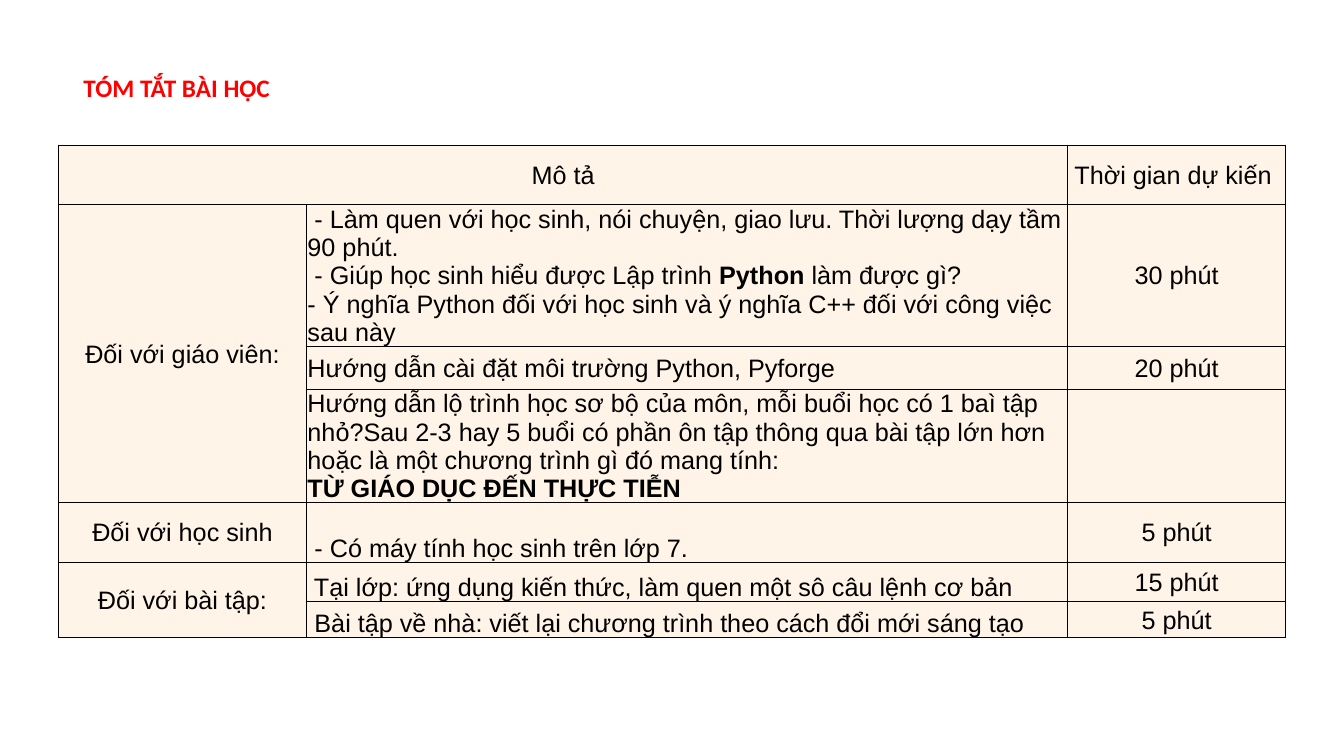
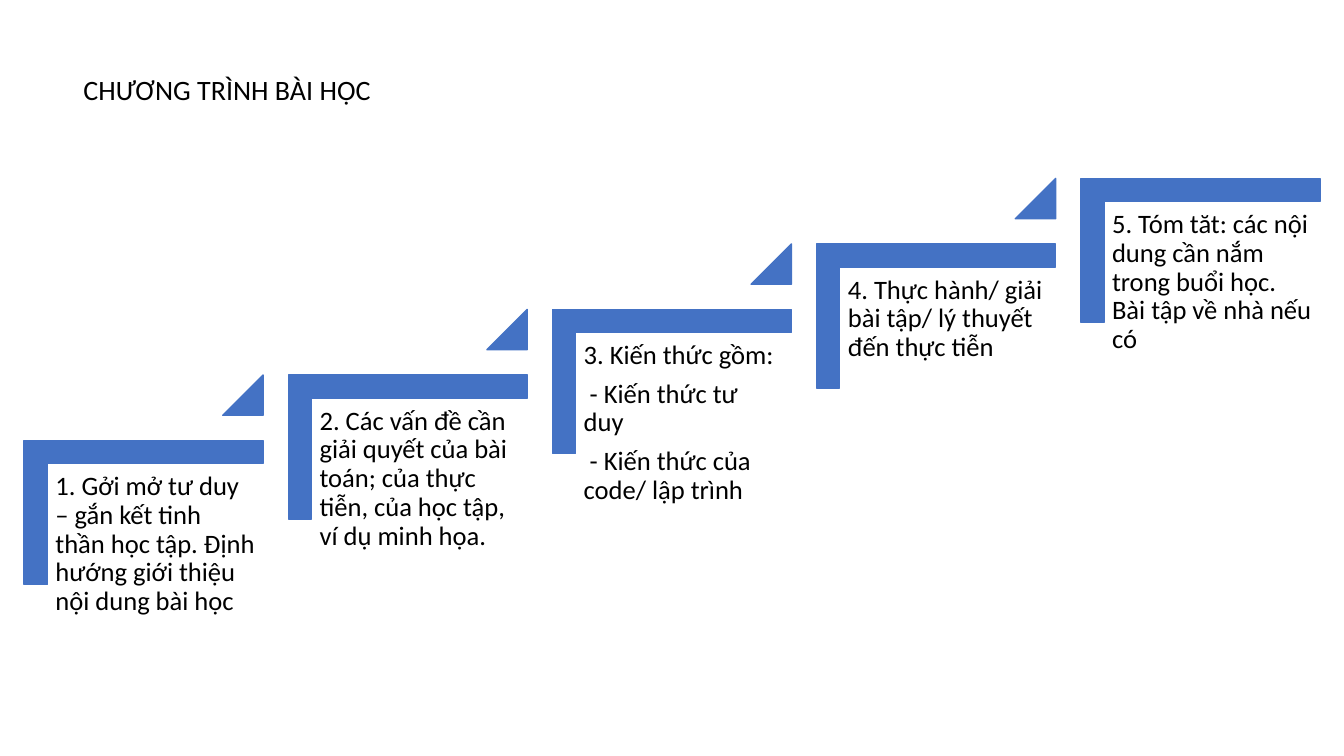
from dataclasses import dataclass
from typing import Any

from lxml.etree import SubElement
from pptx import Presentation
from pptx.dml.color import RGBColor as Color
from pptx.enum.shapes import MSO_SHAPE as ShapeKind
from pptx.enum.text import MSO_ANCHOR as Anchor, MSO_AUTO_SIZE as AutoSize, PP_ALIGN as Align
from pptx.oxml.ns import qn
from pptx.util import Emu, Pt

EMU_PER_PX = 9144  # 100 px to the inch


@dataclass(frozen=True)
class Theme:
    black: str = "000000"
    red: str = "FF0000"
    blue: str = "4472C4"
    cream: str = "FFF4E7"
    heading_font: str = "Calibri"
    table_font: str = "Arial"
    table_size: int = 18
    step_size: int = 19


THEME = Theme()


@dataclass(frozen=True)
class Cell:
    row: int
    column: int
    text: str
    anchor: Any = Anchor.MIDDLE
    row_span: int = 1
    column_span: int = 1


# Lesson table: text between asterisks is bold
TABLE_LEFT, TABLE_TOP = 58, 144
COLUMN_WIDTHS = (246, 755, 216)
ROW_HEIGHTS = (59, 141, 42, 113, 59, 39, 36)
DETAIL_COLUMN = 1
CELLS = (
    Cell(0, 0, "Mô tả", column_span=2),
    Cell(0, 2, "Thời gian dự kiến "),
    Cell(1, 0, "Đối với giáo viên:", row_span=3),
    Cell(1, 1, " - Làm quen với học sinh, nói chuyện, giao lưu. Thời lượng dạy tầm 90 phút.\n"
               " - Giúp học sinh hiểu được Lập trình *Python *làm được gì?\n"
               "- Ý nghĩa Python đối với học sinh và ý nghĩa C++ đối với công việc sau này",
         Anchor.BOTTOM),
    Cell(1, 2, "30 phút"),
    Cell(2, 1, "Hướng dẫn cài đặt môi trường Python, Pyforge"),
    Cell(2, 2, "20 phút"),
    Cell(3, 1, "Hướng dẫn lộ trình học sơ bộ của môn, mỗi buổi học có 1 baì tập nhỏ?"
               "Sau 2-3 hay 5 buổi có phần ôn tập thông qua bài tập lớn hơn "
               "hoặc là một chương trình gì đó mang tính:\n"
               "*TỪ GIÁO DỤC ĐẾN THỰC TIỄN*", Anchor.BOTTOM),
    Cell(4, 0, "Đối với học sinh"),
    Cell(4, 1, " - Có máy tính học sinh trên lớp 7.", Anchor.BOTTOM),
    Cell(4, 2, "5 phút"),
    Cell(5, 0, "Đối với bài tập:", row_span=2),
    Cell(5, 1, " Tại lớp: ứng dụng kiến thức, làm quen một sô câu lệnh cơ bản", Anchor.BOTTOM),
    Cell(5, 2, "15 phút"),
    Cell(6, 1, " Bài tập về nhà: viết lại chương trình theo cách đổi mới sáng tạo", Anchor.BOTTOM),
    Cell(6, 2, "5 phút"),
)

# Staircase: each step moves right and up by the same amount
STEP_RIGHT, STEP_UP = 262, 65
STEPS = (
    "1. Gởi mở tư duy – gắn kết tinh thần học tập. Định hướng giới thiệu nội dung bài học",
    "2. Các vấn đề cần giải quyết của bài toán; của thực tiễn, của học tập, ví dụ minh họa.",
    "3. Kiến thức gồm:\n - Kiến thức tư duy\n - Kiến thức của code/ lập trình",
    "4. Thực hành/ giải bài tập/ lý thuyết đến thực tiễn",
    "5. Tóm tăt: các nội dung cần nắm trong buổi học. Bài tập về nhà nếu có",
)


def px(length: int) -> Emu:
    return Emu(length * EMU_PER_PX)


def write_text(frame: Any, text: str, *, font: str, size: int, color: str = THEME.black,
               bold: bool = False, align: Any = Align.LEFT,
               line_spacing: float = 1.0, space_after: int = 0) -> None:
    """Write one paragraph a line; asterisks switch bold on and off."""
    for index, line in enumerate(text.split("\n")):
        paragraph = frame.add_paragraph() if index else frame.paragraphs[0]
        paragraph.alignment = align
        paragraph.line_spacing = line_spacing
        paragraph.space_after = Pt(space_after)
        for part, content in enumerate(line.split("*")):
            if content:
                run = paragraph.add_run()
                run.text = content
                run.font.name = font
                run.font.size = Pt(size)
                run.font.bold = bold or part % 2 == 1
                run.font.color.rgb = Color.from_string(color)


def add_title(slide: Any, text: str, width: int, height: int, **text_format: Any) -> None:
    frame = slide.shapes.add_textbox(px(73), px(67), px(width), px(height)).text_frame
    frame.word_wrap = False
    frame.auto_size = AutoSize.SHAPE_TO_FIT_TEXT
    write_text(frame, text, font=THEME.heading_font, **text_format)


def style_cell(cell: Any) -> None:
    """Give a cell thin borders, tight margins and the table fill."""
    properties = cell._tc.get_or_add_tcPr()
    for side in ("a:lnL", "a:lnR", "a:lnT", "a:lnB"):
        border = SubElement(properties, qn(side), w=str(Pt(0.75)))
        SubElement(SubElement(border, qn("a:solidFill")), qn("a:srgbClr"), val=THEME.black)
    cell.fill.solid()
    cell.fill.fore_color.rgb = Color.from_string(THEME.cream)
    cell.margin_left = cell.margin_right = cell.margin_top = px(1)
    cell.margin_bottom = 0


def add_lesson_table(slide: Any) -> None:
    table = slide.shapes.add_table(
        len(ROW_HEIGHTS), len(COLUMN_WIDTHS), px(TABLE_LEFT), px(TABLE_TOP),
        px(sum(COLUMN_WIDTHS)), px(sum(ROW_HEIGHTS))).table
    table.first_row = table.horz_banding = False
    for column, width in zip(table.columns, COLUMN_WIDTHS):
        column.width = px(width)
    for row, height in zip(table.rows, ROW_HEIGHTS):
        row.height = px(height)
    for cell in table.iter_cells():
        style_cell(cell)
    for item in CELLS:
        cell = table.cell(item.row, item.column)
        if item.row_span > 1 or item.column_span > 1:
            cell.merge(table.cell(item.row + item.row_span - 1,
                                  item.column + item.column_span - 1))
        cell.vertical_anchor = item.anchor
        write_text(cell.text_frame, item.text, font=THEME.table_font, size=THEME.table_size,
                   align=Align.LEFT if item.column == DETAIL_COLUMN else Align.CENTER)


def add_blue_shape(slide: Any, kind: Any, left: int, top: int, width: int, height: int,
                   adjustments: tuple[float, ...], rotation: int = 0) -> None:
    shape = slide.shapes.add_shape(kind, px(left), px(top), px(width), px(height))
    shape.rotation = rotation
    shape.shadow.inherit = False
    for index, value in enumerate(adjustments):
        shape.adjustments[index] = value
    shape.fill.solid()
    shape.fill.fore_color.rgb = shape.line.color.rgb = Color.from_string(THEME.blue)
    shape.line.width = Pt(1)


def add_step(slide: Any, index: int, text: str) -> None:
    right, up = index * STEP_RIGHT, index * STEP_UP
    add_blue_shape(slide, ShapeKind.CORNER, 71 + right, 390 - up, 143, 237,
                   (0.16, 0.16), rotation=90)
    frame = slide.shapes.add_textbox(px(47 + right), px(461 - up), px(214), px(188)).text_frame
    frame.word_wrap = True
    frame.margin_left = frame.margin_right = frame.margin_top = frame.margin_bottom = px(8)
    write_text(frame, text, font=THEME.heading_font, size=THEME.step_size,
               line_spacing=0.9, space_after=7)
    if index < len(STEPS) - 1:
        add_blue_shape(slide, ShapeKind.ISOSCELES_TRIANGLE, 221 + right, 372 - up, 40, 40, (1,))


def main() -> None:
    presentation = Presentation()
    presentation.slide_width, presentation.slide_height = px(1333), px(750)
    blank = presentation.slide_layouts[6]

    # Lesson summary
    slide = presentation.slides.add_slide(blank)
    add_lesson_table(slide)
    add_title(slide, "TÓM TẮT BÀI HỌC", 207, 40, size=18, color=THEME.red, bold=True)

    # Lesson programme
    slide = presentation.slides.add_slide(blank)
    for index, text in enumerate(STEPS):
        add_step(slide, index, text)
    add_title(slide, "CHƯƠNG TRÌNH BÀI HỌC", 307, 44, size=20)

    presentation.save("out.pptx")


if __name__ == "__main__":
    main()
